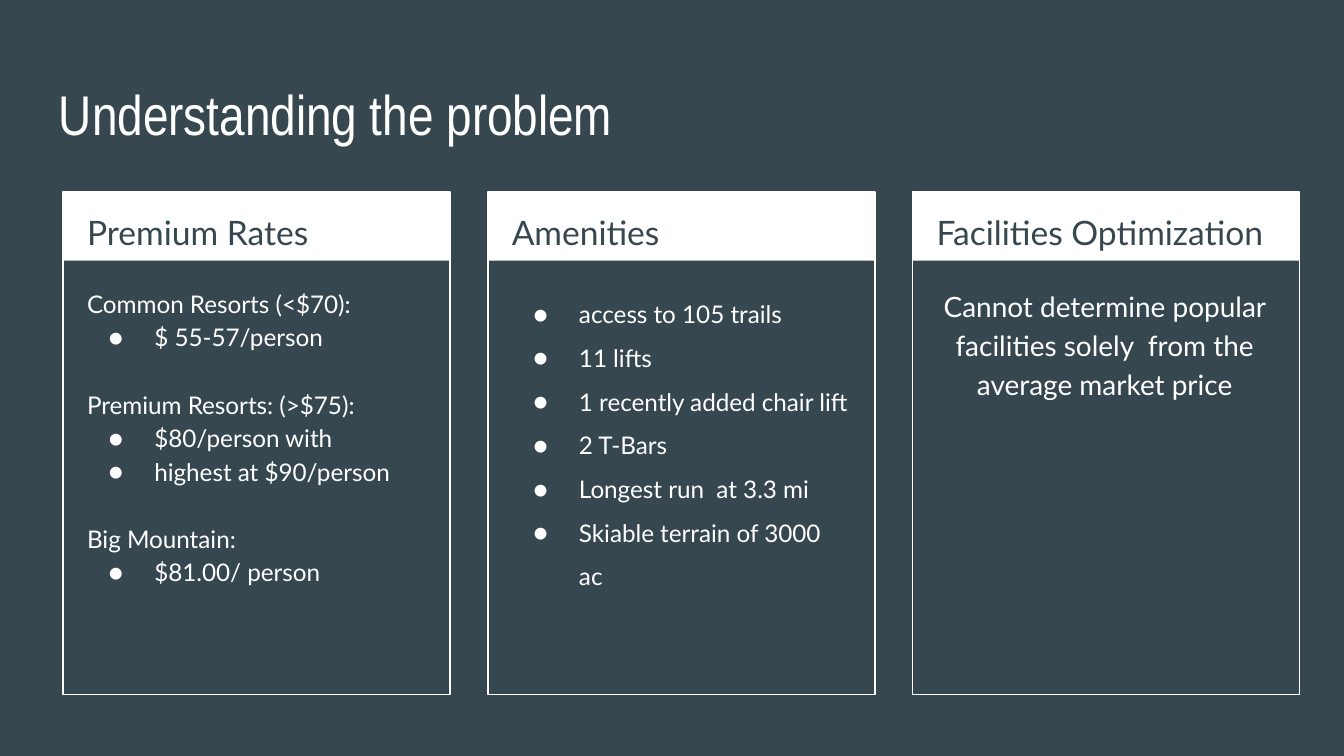
from dataclasses import dataclass

from lxml import etree
from pptx import Presentation
from pptx import util as u
from pptx.dml import color as c
from pptx.enum import shapes, text
from pptx.oxml import ns

WIDE = 10
HIGH = WIDE * 9 / 16
SLATE, WHITE = "37474F", "FFFFFF"
LEFT, TOP, STEP = 0.47, 1.43, 3.16
CARD_W, CARD_H, HEAD_H = 2.88, 3.74, 0.51
PAD, BODY_Y = 0.08, 2.02
HEAD_W, BODY_W, BODY_H = 2.73, 2.7, 3.06


@dataclass
class Line:
    words: str
    dot: bool = False
    gap: int = 0


@dataclass
class Card:
    title: str
    lines: list[Line]
    size: int = 13
    lead: float = 1.15
    center: bool = False


CARDS = [
    Card("Premium Rates", [
        Line("Common Resorts (<$70):"),
        Line("$ 55-57/person", dot=True),
        Line("Premium Resorts: (>$75):", gap=18),
        Line("$80/person with", dot=True),
        Line("highest at $90/person", dot=True),
        Line("Big Mountain:", gap=18),
        Line("$81.00/ person", dot=True),
    ]),
    Card("Amenities", [Line(words, dot=True) for words in (
        "access to 105 trails",
        "11 lifts",
        "1 recently added chair lift",
        "2 T-Bars",
        "Longest run  at 3.3 mi",
        "Skiable terrain of 3000 ac",
    )], lead=1.5),
    Card("Facilities Optimization", [
        Line("Cannot determine popular facilities solely  from the average market price"),
    ], size=15, center=True),
]


def paint(color: c.ColorFormat, tone: str) -> None:
    color.rgb = c.RGBColor.from_string(tone)


def bullet(para, face: str) -> None:
    props = para._p.get_or_add_pPr()
    props.set("marL", str(u.Inches(0.5)))
    props.set("indent", str(u.Inches(-0.34)))
    tint = etree.SubElement(props, ns.qn("a:buClr"))
    etree.SubElement(tint, ns.qn("a:srgbClr"), val=WHITE)
    etree.SubElement(props, ns.qn("a:buFont"), typeface=face)
    etree.SubElement(props, ns.qn("a:buChar"), char="●")


def write(slide, lines: list[Line], x: float, y: float, w: float, h: float, *,
          size: int, tone: str = WHITE, face: str = "Lato",
          lead: float = 1.15, center: bool = False) -> None:
    spot = [u.Inches(part) for part in (x, y, w, h)]
    frame = slide.shapes.add_textbox(*spot).text_frame
    frame.word_wrap = True
    frame.vertical_anchor = text.MSO_ANCHOR.TOP
    frame.margin_left = frame.margin_right = u.Inches(0.1)
    frame.margin_top = frame.margin_bottom = u.Inches(0.1)
    for index, line in enumerate(lines):
        para = frame.add_paragraph() if index else frame.paragraphs[0]
        para.line_spacing = lead
        para.space_before = u.Pt(line.gap)
        para.alignment = text.PP_ALIGN.CENTER if center else text.PP_ALIGN.LEFT
        if line.dot:
            bullet(para, face)
        run = para.add_run()
        run.text = line.words
        run.font.size = u.Pt(size)
        run.font.name = face
        paint(run.font.color, tone)


def box(slide, x: float, h: float, *, solid: bool) -> None:
    spot = [u.Inches(part) for part in (x, TOP, CARD_W, h)]
    shape = slide.shapes.add_shape(shapes.MSO_SHAPE.RECTANGLE, *spot)
    shape.shadow.inherit = False
    if solid:
        shape.fill.solid()
        paint(shape.fill.fore_color, WHITE)
        shape.line.fill.background()
    else:
        shape.fill.background()
        paint(shape.line.color, WHITE)
        shape.line.width = u.Pt(0.75)


def draw(slide, card: Card, col: int) -> None:
    x = LEFT + col * STEP
    box(slide, x, HEAD_H, solid=True)
    box(slide, x, CARD_H, solid=False)
    write(slide, [Line(card.title)], x + PAD, TOP, HEAD_W, HEAD_H, size=18, tone=SLATE)
    write(slide, card.lines, x + PAD, BODY_Y, BODY_W, BODY_H,
          size=card.size, lead=card.lead, center=card.center)


def main() -> None:
    deck = Presentation()
    deck.slide_width, deck.slide_height = u.Inches(WIDE), u.Inches(HIGH)
    slide = deck.slides.add_slide(deck.slide_layouts[6])
    slide.background.fill.solid()
    paint(slide.background.fill.fore_color, SLATE)
    write(slide, [Line("Understanding the problem")], 0.34, 0.49, 9.32, 0.63,
          size=30, face="Arial Narrow", lead=1.0)
    for col, card in enumerate(CARDS):
        draw(slide, card, col)
    deck.save("out.pptx")


if __name__ == "__main__":
    main()
